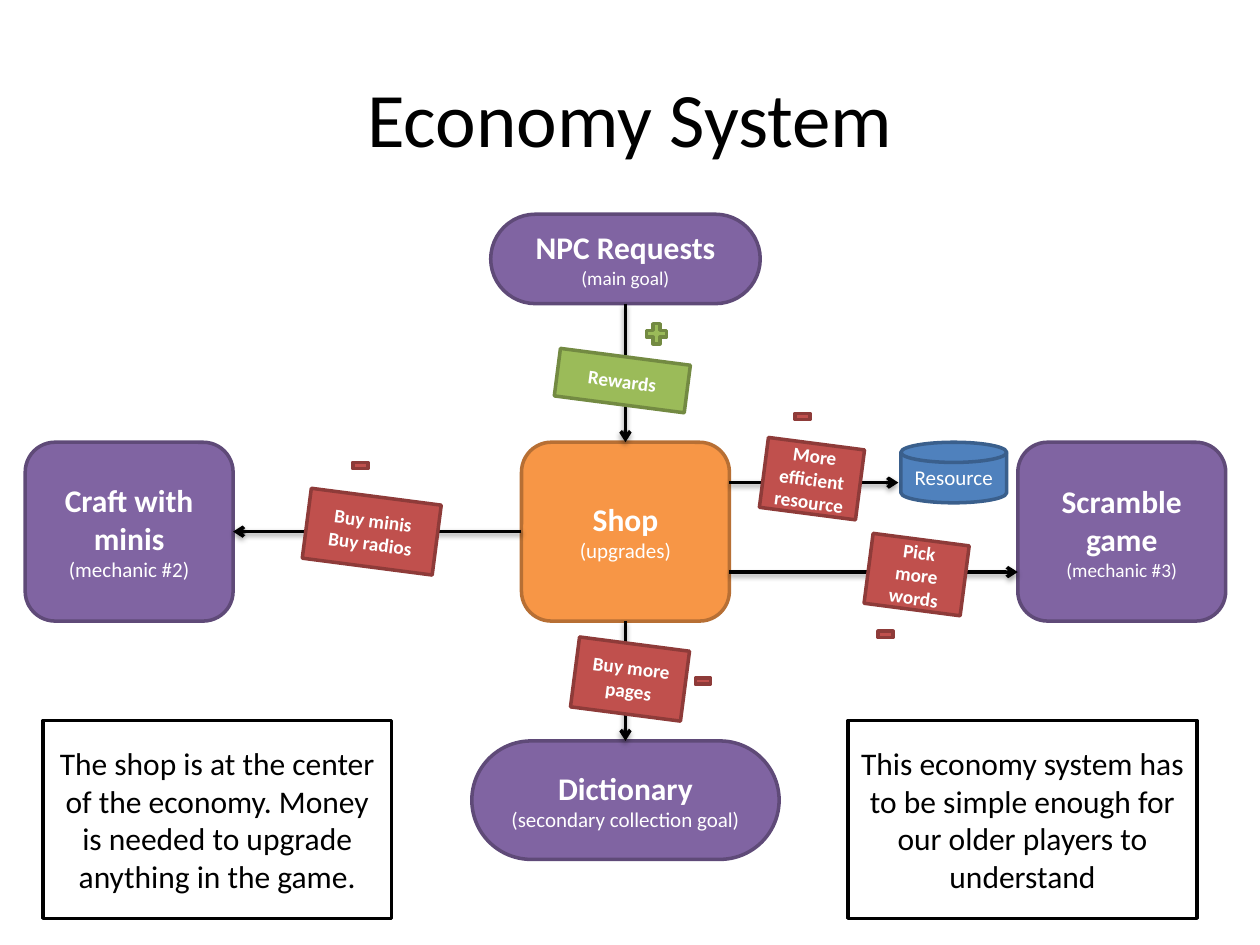
from lxml import etree
from pptx import Presentation
from pptx.dml.color import RGBColor
from pptx.enum.shapes import MSO_CONNECTOR, MSO_SHAPE
from pptx.enum.text import MSO_ANCHOR, PP_ALIGN
from pptx.oxml import parse_xml
from pptx.oxml.ns import nsdecls, qn
from pptx.util import Pt

ROUNDED, RECT = MSO_SHAPE.ROUNDED_RECTANGLE, MSO_SHAPE.RECTANGLE
CAN, PLUS = MSO_SHAPE.FLOWCHART_MAGNETIC_DISK, MSO_SHAPE.CROSS
STRAIGHT = MSO_CONNECTOR.STRAIGHT
MIDDLE, CENTER = MSO_ANCHOR.MIDDLE, PP_ALIGN.CENTER
TOP, LEFT, BOTTOM, RIGHT = range(4)

FONT = "Calibri"
BLACK = RGBColor(0x00, 0x00, 0x00)
WHITE = RGBColor(0xFF, 0xFF, 0xFF)
# Each style is (fill, outline)
PURPLE = (RGBColor(0x80, 0x64, 0xA2), RGBColor(0x5F, 0x4A, 0x78))
ORANGE = (RGBColor(0xF7, 0x96, 0x46), RGBColor(0xB7, 0x6F, 0x34))
BLUE = (RGBColor(0x4F, 0x81, 0xBD), RGBColor(0x3A, 0x5F, 0x8C))
GREEN = (RGBColor(0x9B, 0xBB, 0x59), RGBColor(0x73, 0x8A, 0x42))
RED = (RGBColor(0xC0, 0x50, 0x4D), RGBColor(0x8E, 0x3B, 0x39))
PLAIN = (WHITE, BLACK)

SHADOW = (
    f'<a:effectLst {nsdecls("a")}>'
    f'<a:outerShdw blurRad="{Pt(3.1)}" dist="{Pt(1.6)}" dir="5400000" rotWithShape="0">'
    '<a:srgbClr val="000000"><a:alpha val="38000"/></a:srgbClr>'
    '</a:outerShdw></a:effectLst>'
)


def write(sp, paragraphs, color=WHITE):
    """Each paragraph is a list of (text, size, bold) runs, one to a line."""
    tf = sp.text_frame
    tf.word_wrap = True
    tf.vertical_anchor = MIDDLE
    for i, runs in enumerate(paragraphs):
        p = tf.paragraphs[0] if i == 0 else tf.add_paragraph()
        p.alignment = CENTER
        for j, (text, size, bold) in enumerate(runs):
            if j:
                p.add_line_break()
            r = p.add_run()
            r.text = text
            r.font.name, r.font.size, r.font.bold = FONT, Pt(size), bold
            r.font.color.rgb = color


def add_box(s, kind, box, style):
    sp = s.shapes.add_shape(kind, *(Pt(v) for v in box))
    sp.shadow.inherit = False
    sp.fill.solid()
    sp.fill.fore_color.rgb, sp.line.color.rgb = style
    sp.line.width = Pt(2)
    return sp


def add_node(s, box, style, paragraphs, pill=False):
    sp = add_box(s, ROUNDED, box, style)
    if pill:
        sp.adjustments[0] = 0.5
    write(sp, paragraphs)
    return sp


def add_tag(s, box, style, lines):
    sp = add_box(s, RECT, box, style)
    sp.rotation = 7.4
    write(sp, [[(line, 11, True)] for line in lines])


def add_arrow(s, x1=0, y1=0, x2=0, y2=0, start=None, end=None):
    c = s.shapes.add_connector(STRAIGHT, Pt(x1), Pt(y1), Pt(x2), Pt(y2))
    if start:
        c.begin_connect(*start)
    if end:
        c.end_connect(*end)
    c.line.color.rgb = BLACK
    c.line.width = Pt(2)
    etree.SubElement(c.line._get_or_add_ln(), qn("a:tailEnd"), type="arrow")
    c._element.spPr.append(parse_xml(SHADOW))


def add_title(s, x, y, w, h):
    sp = s.shapes.add_textbox(Pt(x), Pt(y), Pt(w), Pt(h))
    write(sp, [[("Economy System", 44, False)]], BLACK)


def add_diagram(s, x, y, w, h):
    mid = x + w / 2
    node_w, node_h = 118.8, 102.2
    row = y + 130.3

    # Shop in the centre, goals and mechanics around it
    shop = add_node(s, (mid - node_w / 2, row, node_w, node_h), ORANGE,
                    [[("Shop", 18, True), ("(upgrades)", 12, False)]])
    requests = add_node(s, (mid - 77, y, 154, 51.1), PURPLE,
                        [[("NPC Requests", 18, True)], [("(main goal)", 11, False)]], True)
    craft = add_node(s, (x, row, node_w, node_h), PURPLE,
                     [[("Craft with minis", 18, True), ("(mechanic #2)", 12, False)]])
    add_node(s, (x + w - node_w, row, node_w, node_h), PURPLE,
             [[("Scramble game", 18, True), ("(mechanic #3)", 11, False)]])
    dictionary = add_node(s, (mid - 87.8, y + h - 67.7, 175.6, 67.7), PURPLE,
                          [[("Dictionary", 18, True),
                            ("(secondary collection goal)", 12, False)]], True)
    resource = add_box(s, CAN, (x + 500.4, row, 60.5, 34.6), BLUE)
    write(resource, [[("Resource", 12, False)]])

    # Money flows
    add_arrow(s, start=(requests, BOTTOM), end=(shop, TOP))
    add_arrow(s, start=(shop, LEFT), end=(craft, RIGHT))
    add_arrow(s, start=(shop, BOTTOM), end=(dictionary, TOP))
    shop_right = mid + node_w / 2
    for flow_y, end_x in ((153.4, x + 499), (204.5, x + w - node_w)):
        add_arrow(s, shop_right, y + flow_y, end_x, y + flow_y)

    # Tilted tags on the flows
    for dx, dy, tag_w, tag_h, style, lines in (
        (160.6, 161.3, 74.9, 40.3, RED, ["Buy minis", "Buy radios"]),
        (303.8, 81.4, 74.9, 27.4, GREEN, ["Rewards"]),
        (421.9, 131, 55.4, 40.3, RED, ["More efficient resource"]),
        (481.7, 185.8, 55.4, 40.3, RED, ["Pick more words"]),
        (313.9, 245.5, 63.4, 40.3, RED, ["Buy more pages"]),
    ):
        add_tag(s, (x + dx, y + dy, tag_w, tag_h), style, lines)

    # Plus and minus signs
    plus = add_box(s, PLUS, (x + 355, y + 62.6, 11.5, 11.5), GREEN)
    plus.adjustments[0] = 0.33
    for dx, dy in ((439.9, 113.8), (187.2, 141.8), (487.4, 238.3), (383, 265)):
        add_box(s, RECT, (x + dx, y + dy, 8.6, 3.6), RED)


def add_note(s, box, text):
    write(add_box(s, RECT, box, PLAIN), [[(text, 18, False)]], BLACK)


def main():
    prs = Presentation()
    prs.slide_width, prs.slide_height = Pt(720), Pt(540)
    s = prs.slides.add_slide(prs.slide_layouts[6])
    add_title(s, 36, 21.6, 648, 90)
    add_diagram(s, 14.4, 122.4, 686, 368.7)
    add_note(s, (24.5, 411.8, 199.4, 113),
             "The shop is at the center of the economy. "
             "Money is needed to upgrade anything in the game.")
    add_note(s, (484.6, 411.8, 199.4, 113),
             "This economy system has to be simple enough "
             "for our older players to understand")
    prs.save("out.pptx")


if __name__ == "__main__":
    main()
